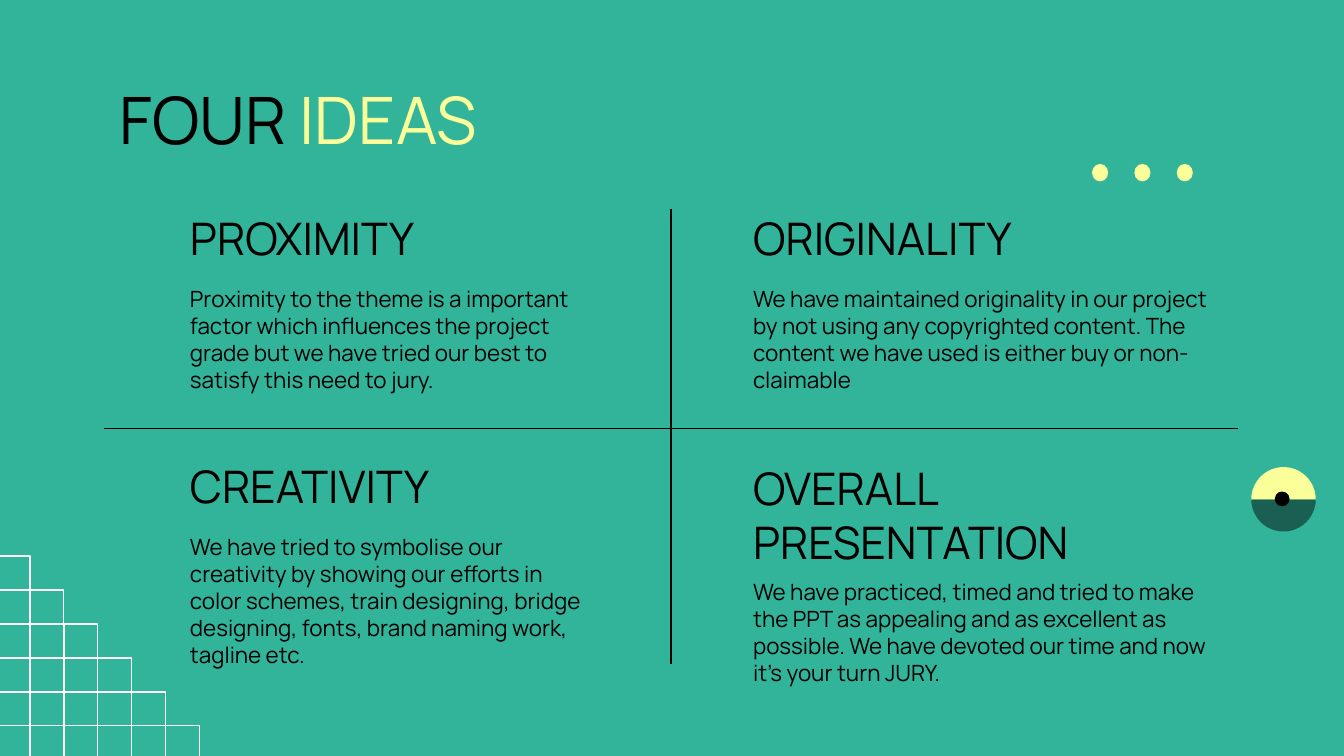
import pptx
import pptx.util
import pptx.dml.color
import pptx.enum.shapes
import pptx.enum.text
import pptx.oxml.ns
import lxml.etree

COLORS = {"green": "32B49B", "yellow": "FAFF99", "black": "000000", "white": "FFFFFF"}
RGB = {name: pptx.dml.color.RGBColor.from_string(code) for name, code in COLORS.items()}
SHAPES = pptx.enum.shapes.MSO_SHAPE
ANCHOR = pptx.enum.text.MSO_ANCHOR
FONT = "Manrope"

# Widescreen page, 16 to 9
deck = pptx.Presentation()
deck.slide_width = pptx.util.Inches(10)
deck.slide_height = deck.slide_width * 9 // 16
page = deck.slides.add_slide(deck.slide_layouts[5])
page.background.fill.solid()
page.background.fill.fore_color.rgb = RGB["green"]

# All lengths count cells of a square grid, 40 columns wide
cell = deck.slide_width / 40


def add_figure(kind, left, top, width, height, fill=None):
    figure = page.shapes.add_shape(kind, *(round(n * cell) for n in (left, top, width, height)))
    figure.shadow.inherit = False
    if fill:
        figure.fill.solid()
        figure.fill.fore_color.rgb = RGB[fill]
        figure.line.fill.background()
    else:
        figure.fill.background()
    return figure


def style_text(box, size, anchor):
    frame = box.text_frame
    frame.word_wrap = True
    frame.auto_size = pptx.enum.text.MSO_AUTO_SIZE.NONE
    frame.vertical_anchor = anchor
    inset = pptx.util.Inches(0.1)
    frame.margin_left = frame.margin_right = frame.margin_top = frame.margin_bottom = inset
    para = frame.paragraphs[0]
    para.alignment = pptx.enum.text.PP_ALIGN.LEFT
    para.font.name = FONT
    para.font.size = pptx.util.Pt(size)
    para.font.color.rgb = RGB["black"]
    return para


# Staircase of outlined squares in the lower left corner
steps = 6
for row in range(steps):
    for column in range(row + 1):
        square = add_figure(SHAPES.RECTANGLE, 1.01 * column - 0.12, 16.55 + 1.01 * row, 1.01, 1.01)
        square.line.color.rgb = RGB["white"]
        square.line.width = pptx.util.Pt(0.77)

# Two-tone disc with a black centre
lower_half = add_figure(SHAPES.CHORD, 37.24, 13.9, 1.92, 1.92, "black")
upper_half = add_figure(SHAPES.CHORD, 37.24, 13.9, 1.92, 1.92, "yellow")
half_turn = 108  # 180 degrees in adjustment units
lower_half.adjustments[0], lower_half.adjustments[1] = 0, half_turn
upper_half.adjustments[0], upper_half.adjustments[1] = half_turn, 0
tint = lower_half.fill._xPr.find(".//" + pptx.oxml.ns.qn("a:srgbClr"))
lxml.etree.SubElement(tint, pptx.oxml.ns.qn("a:alpha"), val="47000")
add_figure(SHAPES.OVAL, 37.94, 14.63, 0.44, 0.44, "black")

# Title
title = page.shapes.title
title.left, title.top, title.width, title.height = (
    round(n * cell) for n in (3.15, 1.95, 33.7, 2.52))
para = style_text(title, 35, ANCHOR.TOP)
for text, color in (("FOUR ", "black"), ("IDEAS", "yellow")):
    span = para.add_run()
    span.text = text
    span.font.color.rgb = RGB[color]

# Four ideas: left, heading top, body top, body width, heading, body
ideas = [
    (5.26, 5.84, 8.09, 12.72, "PROXIMITY",
     "Proximity to the theme is a important factor which influences the project grade "
     "but we have tried our best to satisfy this need to jury."),
    (5.26, 13.22, 15.48, 12.72, "CREATIVITY",
     "We have tried to symbolise our creativity by showing our efforts in color schemes, "
     "train designing, bridge designing, fonts, brand naming work, tagline etc."),
    (22.02, 5.84, 8.09, 14.84, "ORIGINALITY",
     "We have maintained originality in our project by not using any copyrighted content. "
     "The content we have used is either buy or non-claimable"),
    (22.02, 14.88, 16.81, 14.84, "OVERALL PRESENTATION",
     "We have practiced, timed and tried to make the PPT as appealing and as excellent as "
     "possible. We have devoted our time and now it's your turn JURY."),
]
for left, heading_top, body_top, body_width, heading, body in ideas:
    for text, top, width, height, size, anchor in (
            (body, body_top, body_width, 4.04, 12, ANCHOR.TOP),
            (heading, heading_top, 12.72, 2.44, 24, ANCHOR.BOTTOM)):
        box = page.shapes.add_textbox(*(round(n * cell) for n in (left, top, width, height)))
        box.text_frame.text = text
        style_text(box, size, anchor)

# Cross that divides the four ideas
for ends in ((19.97, 6.21, 19.97, 19.76), (36.84, 12.76, 3.11, 12.76)):
    divider = page.shapes.add_connector(
        pptx.enum.shapes.MSO_CONNECTOR.STRAIGHT, *(round(n * cell) for n in ends))
    divider.line.color.rgb = RGB["black"]
    divider.line.width = pptx.util.Pt(0.75)
    lxml.etree.SubElement(divider._element.spPr, pptx.oxml.ns.qn("a:effectLst"))

# Three dots
for index in range(3):
    add_figure(SHAPES.OVAL, 32.5 + 1.26 * index, 4.88, 0.48, 0.52, "yellow")

deck.save("out.pptx")
